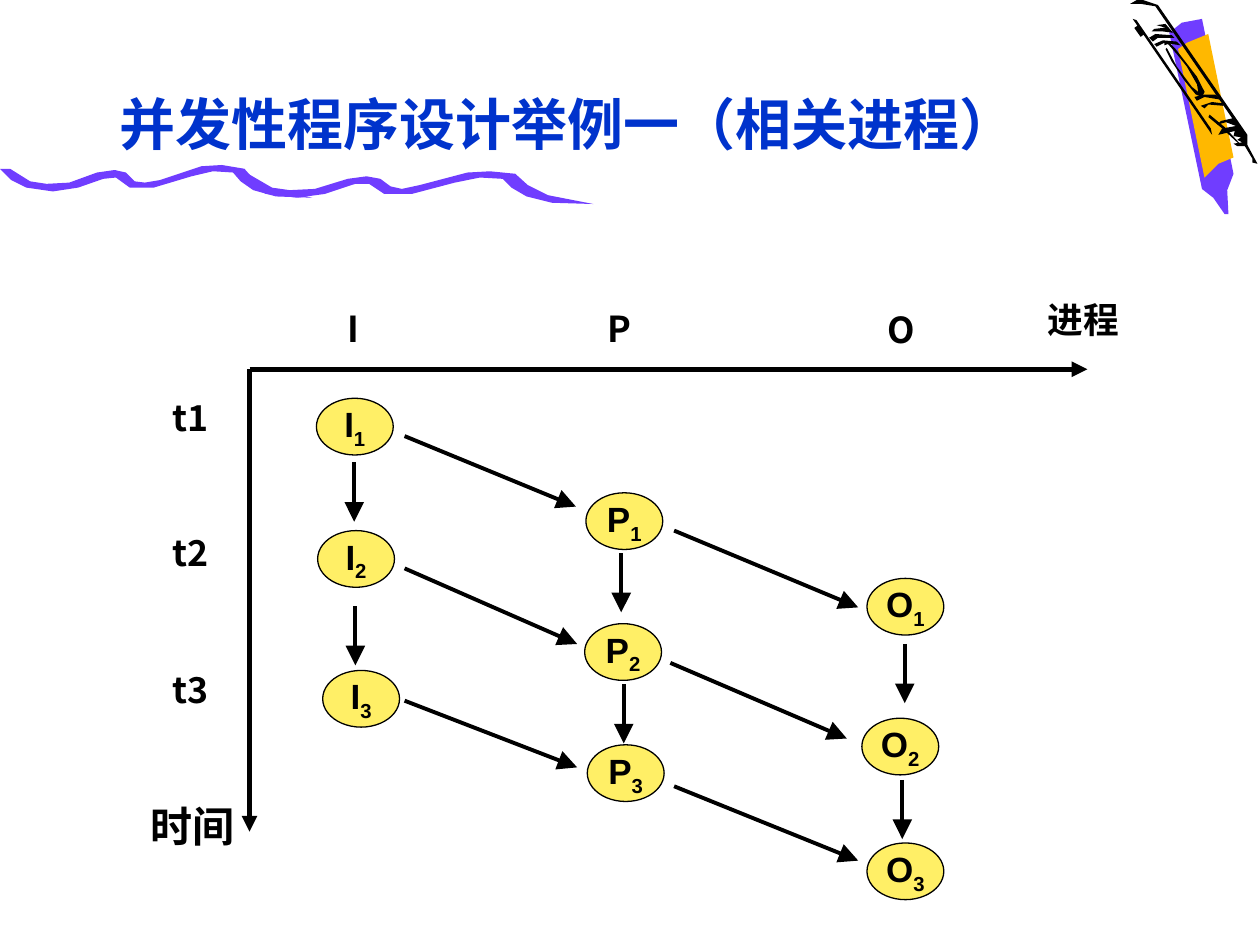
from dataclasses import dataclass

from lxml.etree import SubElement
from pptx import Presentation
from pptx.dml.color import RGBColor
from pptx.enum.shapes import MSO_CONNECTOR, MSO_SHAPE
from pptx.enum.text import MSO_ANCHOR, MSO_AUTO_SIZE, PP_ALIGN
from pptx.oxml.ns import qn
from pptx.util import Pt


@dataclass(frozen=True)
class Theme:
    """Colours, fonts and sizes of the slide."""
    ink: RGBColor = RGBColor(0x00, 0x00, 0x00)
    heading: RGBColor = RGBColor(0x00, 0x33, 0xCC)
    violet: RGBColor = RGBColor(0x70, 0x3D, 0xFF)
    amber: RGBColor = RGBColor(0xFF, 0xB8, 0x00)
    node: RGBColor = RGBColor(0xFF, 0xEF, 0x66)
    heading_font: str = "Comic Neue"
    label_font: str = "Noto Sans CJK SC"
    node_font: str = "Arial"
    heading_size: float = 32
    label_size: float = 20.4
    time_size: float = 24
    node_size: float = 20
    axis_weight: float = 3
    arrow_weight: float = 2.25
    outline_weight: float = 0.75


THEME = Theme()
GRID = Pt(0.72)

WAVES = [
    [(8, 3), (24, 13), (37, 15), (55, 14), (77, 6), (91, 4), (100, 6), (107, 13), (115, 14),
     (127, 12), (160, 1), (176, 0), (194, 3), (202, 12), (216, 19), (248, 26), (219, 25),
     (201, 20), (191, 13), (185, 6), (169, 5), (152, 9), (122, 18), (103, 18), (92, 10),
     (82, 11), (62, 18), (42, 21), (21, 18), (9, 12), (0, 3)],
    [(197, 7), (216, 18), (230, 20), (250, 19), (276, 11), (291, 9), (302, 11), (310, 17),
     (319, 19), (333, 16), (371, 6), (389, 5), (409, 7), (419, 16), (435, 24), (471, 31),
     (438, 30), (418, 25), (406, 18), (399, 11), (381, 10), (361, 14), (327, 23), (305, 23),
     (293, 15), (282, 15), (258, 23), (236, 26), (211, 23), (198, 16), (188, 8)],
]
PENCIL_BODY = [(38, 26), (64, 150), (73, 157), (82, 170), (85, 170), (84, 151), (89, 138),
               (64, 15), (48, 18)]
PENCIL_SIDE = [(66, 141), (77, 130), (89, 125), (69, 27), (52, 34), (45, 39)]
PENCIL_STROKES = [
    [(69, 93), (80, 102), (94, 115), (94, 114), (82, 101), (70, 91)],
    [(24, 25), (33, 25), (41, 26), (35, 19), (28, 20), (35, 22), (26, 23)],
    [(35, 39), (40, 49), (50, 64), (59, 75), (64, 77), (66, 73), (60, 61), (50, 48), (43, 39),
     (37, 33), (34, 33), (34, 36), (37, 35), (44, 43), (52, 53), (60, 67), (61, 73), (56, 69),
     (44, 53), (36, 38)],
    [(9, 15), (72, 107), (71, 102), (12, 16)],
    [(77, 107), (80, 102), (91, 100), (83, 97), (76, 99), (79, 96), (88, 94), (27, 5), (15, 3),
     (7, 3), (14, -1), (29, 4), (100, 107), (100, 115), (108, 130), (104, 129), (104, 126),
     (98, 116), (92, 116), (89, 114), (96, 113), (92, 111), (95, 109), (89, 108), (90, 104)],
    [(66, 86), (69, 83), (81, 84), (80, 82), (72, 81), (63, 84)],
    [(60, 80), (66, 77), (78, 79), (75, 75), (66, 75), (58, 77)],
    [(28, 37), (34, 34), (47, 36), (44, 33), (33, 32), (26, 35)],
    [(25, 33), (29, 30), (42, 30), (40, 28), (27, 27), (22, 30)],
]

NODES = {
    "I": [(38.2, 16.6), (38.9, 92.2), (41.8, 172.1)],
    "P": [(192.2, 70.6), (191.5, 145.4), (193, 214.6)],
    "O": [(352.8, 119.5), (349.9, 199.4), (352.8, 270.7)],
}
STEP_STARTS = [(59.8, 53.3), (60.5, 135.4), (212.4, 105.1), (213.8, 180), (374.4, 157), (373, 234.7)]
STEP_LENGTH = 33.8
HANDOVERS = [
    ((88.6, 38.2), (186.5, 78.5)), ((88.6, 113.8), (187.2, 157)), ((88.6, 189.4), (187.2, 227.5)),
    ((242.6, 92.2), (347.8, 136.1)), ((240.5, 167.8), (341.3, 211)), ((242.6, 238.3), (347.8, 280.8)),
]
LABELS = [
    ("I", 44.6, -33.1, 29.5), ("P", 196.6, -33.1, 29.5), ("O", 357.8, -32.4, 29.5),
    ("进程", 440.6, -38.2, 72),
    ("t1", -48.2, 18, 29.5), ("t2", -48.2, 95, 29.5), ("t3", -48.2, 173.5, 29.5),
]


def write(para, text, *, font, size, color, baseline=None):
    """Add one bold run to a centred paragraph."""
    para.alignment = PP_ALIGN.CENTER
    span = para.add_run()
    span.text = text
    span.font.name = font
    span.font.size = Pt(size)
    span.font.bold = True
    span.font.color.rgb = color
    properties = span.font._element
    SubElement(properties, qn("a:ea")).set("typeface", THEME.label_font)
    if baseline is not None:
        properties.set("baseline", str(baseline))


def add_outline(page, left, top, points, color):
    """Draw a filled closed outline from points in hundredths of an inch."""
    builder = page.shapes.build_freeform(*points[0], scale=GRID)
    builder.add_line_segments(points[1:], close=True)
    shape = builder.convert_to_shape(Pt(left), Pt(top))
    shape.shadow.inherit = False
    shape.fill.solid()
    shape.fill.fore_color.rgb = color
    shape.line.fill.background()


def add_line(page, left, top, start, end, weight, head=None):
    """Draw a line, with an arrowhead of the given size if there is one."""
    line = page.shapes.add_connector(
        MSO_CONNECTOR.STRAIGHT, Pt(left + start[0]), Pt(top + start[1]),
        Pt(left + end[0]), Pt(top + end[1]))
    line.line.color.rgb = THEME.ink
    line.line.width = Pt(weight)
    if head:
        tail = SubElement(line.line._get_or_add_ln(), qn("a:tailEnd"))
        for key, value in (("type", "triangle"), ("w", head), ("len", head)):
            tail.set(key, value)
    SubElement(line._element.spPr, qn("a:effectLst"))


def add_label(page, text, left, top, width, height, size, spacing):
    """Place a centred label without insets."""
    frame = page.shapes.add_textbox(Pt(left), Pt(top), Pt(width), Pt(height)).text_frame
    frame.word_wrap = True
    frame.margin_left = frame.margin_right = frame.margin_top = frame.margin_bottom = 0
    para = frame.paragraphs[0]
    para.line_spacing = spacing
    write(para, text, font=THEME.label_font, size=size, color=THEME.ink)


def add_node(page, left, top, letter, number):
    """Draw one process step as an ellipse with a subscripted name."""
    node = page.shapes.add_shape(MSO_SHAPE.OVAL, Pt(left), Pt(top), Pt(43.9), Pt(32.4))
    node.shadow.inherit = False
    node.fill.solid()
    node.fill.fore_color.rgb = THEME.node
    node.line.color.rgb = THEME.ink
    node.line.width = Pt(THEME.outline_weight)
    frame = node.text_frame
    frame.word_wrap = False
    frame.vertical_anchor = MSO_ANCHOR.MIDDLE
    style = dict(font=THEME.node_font, size=THEME.node_size, color=THEME.ink)
    write(frame.paragraphs[0], letter, **style)
    write(frame.paragraphs[0], str(number), baseline=-25000, **style)


def add_decoration(page, wave_left, wave_top, pencil_left, pencil_top):
    """Draw the wavy rule and the pencil."""
    for wave in WAVES:
        add_outline(page, wave_left, wave_top, wave, THEME.violet)
    add_outline(page, pencil_left, pencil_top, PENCIL_BODY, THEME.violet)
    add_outline(page, pencil_left, pencil_top, PENCIL_SIDE, THEME.amber)
    for stroke in PENCIL_STROKES:
        add_outline(page, pencil_left, pencil_top, stroke, THEME.ink)
    add_line(page, pencil_left, pencil_top, (8.6, 15.1), (12.2, 20.2), THEME.axis_weight)


def add_title(page, text, left, top, width, height):
    """Place and format the title placeholder."""
    title = page.shapes.title
    title.left, title.top, title.width, title.height = Pt(left), Pt(top), Pt(width), Pt(height)
    frame = title.text_frame
    frame.auto_size = MSO_AUTO_SIZE.NONE
    frame.vertical_anchor = MSO_ANCHOR.MIDDLE
    write(frame.paragraphs[0], text, font=THEME.heading_font, size=THEME.heading_size,
          color=THEME.heading)


def add_schedule(page, left, top, width, height):
    """Draw the process and time axes with their steps, from the axis corner."""
    for end in ((width, 0), (0, height)):
        add_line(page, left, top, (0, 0), end, THEME.axis_weight, "med")
    steps = [((x, y), (x, y + STEP_LENGTH)) for x, y in STEP_STARTS]
    for start, end in steps + HANDOVERS:
        add_line(page, left, top, start, end, THEME.arrow_weight, "lg")
    for text, x, y, label_width in LABELS:
        add_label(page, text, left + x, top + y, label_width, 24.5, THEME.label_size, 0.9)
    add_label(page, "时间", left - 66.2, top + 246.2, 67.7, 61.9, THEME.time_size, 1.0)
    for letter, places in NODES.items():
        for number, (x, y) in enumerate(places, start=1):
            add_node(page, left + x, top + y, letter, number)


def main():
    """Build the deck and save it."""
    deck = Presentation()
    deck.slide_width, deck.slide_height = Pt(720), Pt(540)
    page = deck.slides.add_slide(deck.slide_layouts[5])
    add_decoration(page, 0, 94.3, 640.8, 0)
    add_schedule(page, 142.6, 211, 478.8, 264.2)
    add_title(page, "并发性程序设计举例一（相关进程）", 54, 37.4, 540.7, 66.2)
    deck.save("out.pptx")


if __name__ == "__main__":
    main()
